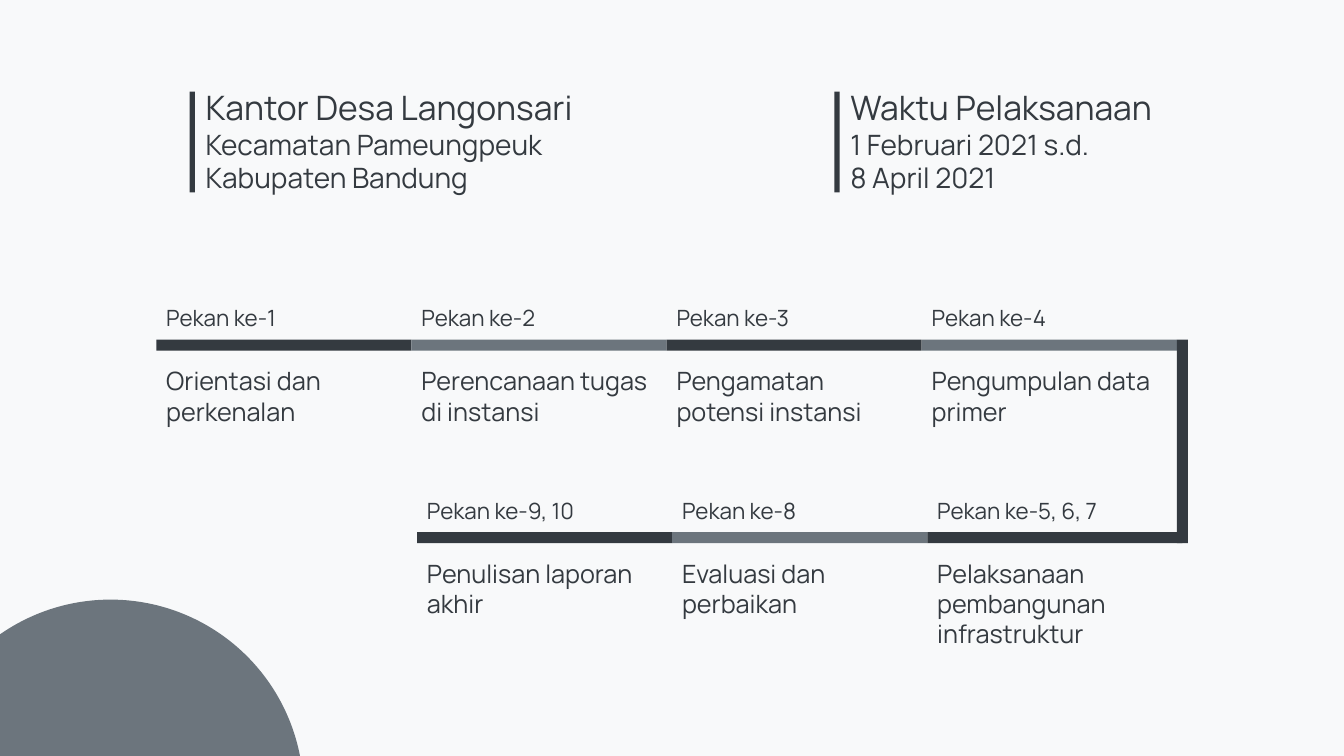
from pptx import Presentation
from pptx.dml.color import RGBColor
from pptx.enum.shapes import MSO_SHAPE
from pptx.enum.text import MSO_AUTO_SIZE
from pptx.util import Cm, Pt

DARK = RGBColor(0x34, 0x3A, 0x40)
GREY = RGBColor(0x6C, 0x75, 0x7D)
PALE = RGBColor(0xF8, 0xF9, 0xFA)

HEADING = {"name": "Manrope", "size": Pt(24)}
DETAIL = {"name": "Manrope", "size": Pt(20)}
TASK = {"name": "Manrope", "size": Pt(18)}
WEEK = {"name": "Manrope", "size": Pt(16)}

STEP = 6.43
BAR = 0.28
TOP_WEEKS = [
    ("Pekan ke-1", "Orientasi dan perkenalan"),
    ("Pekan ke-2", "Perencanaan tugas di instansi"),
    ("Pekan ke-3", "Pengamatan potensi instansi"),
    ("Pekan ke-4", "Pengumpulan data primer"),
]
BOTTOM_WEEKS = [
    ("Pekan ke-9, 10", "Penulisan laporan akhir"),
    ("Pekan ke-8", "Evaluasi dan perbaikan"),
    ("Pekan ke-5, 6, 7", "Pelaksanaan pembangunan infrastruktur"),
]


def add_block(slide, preset, box, colour):
    block = slide.shapes.add_shape(preset, *map(Cm, box))
    block.shadow.inherit = False
    block.fill.solid()
    block.fill.fore_color.rgb = colour
    block.line.fill.background()


def add_text(slide, box, lines):
    frame = slide.shapes.add_textbox(*map(Cm, box)).text_frame
    frame.word_wrap = True
    frame.auto_size = MSO_AUTO_SIZE.SHAPE_TO_FIT_TEXT
    for index, (wording, style) in enumerate(lines):
        paragraph = frame.add_paragraph() if index else frame.paragraphs[0]
        run = paragraph.add_run()
        run.text = wording
        run.font.color.rgb = DARK
        for attribute, value in style.items():
            setattr(run.font, attribute, value)


def add_heading(slide, box, heading, details):
    left, top, width, height = box
    add_block(slide, MSO_SHAPE.RECTANGLE, (left, top, 0.13, height), DARK)
    lines = [(heading, HEADING)] + [(detail, DETAIL) for detail in details]
    add_text(slide, (left + 0.15, top - 0.25, width - 0.15, 3), lines)


def add_week_row(slide, left, top, weeks):
    for index, (week, task) in enumerate(weeks):
        x = left + index * STEP
        colour = GREY if index % 2 else DARK
        add_block(slide, MSO_SHAPE.RECTANGLE, (x, top, STEP, BAR), colour)
        add_text(slide, (x, top + 0.53, STEP, 1.8), [(task, TASK)])
        add_text(slide, (x, top - 1.02, 4.93, 0.94), [(week, WEEK)])


def add_timeline(slide, box):
    left, top, width, height = box
    turn = left + len(TOP_WEEKS) * STEP
    bottom_top = top + height - BAR
    bottom_left = left + width - BAR / 2 - len(BOTTOM_WEEKS) * STEP
    add_week_row(slide, left, top, TOP_WEEKS)
    add_week_row(slide, bottom_left, bottom_top, BOTTOM_WEEKS)
    add_block(slide, MSO_SHAPE.RECTANGLE, (turn, top, BAR, height), DARK)


def main():
    deck = Presentation()
    deck.slide_width, deck.slide_height = Cm(33.87), Cm(19.05)
    slide = deck.slides.add_slide(deck.slide_layouts[6])
    slide.background.fill.solid()
    slide.background.fill.fore_color.rgb = PALE
    add_heading(slide, (4.78, 2.31, 11.05, 2.54), "Kantor Desa Langonsari",
                ["Kecamatan Pameungpeuk", "Kabupaten Bandung"])
    add_heading(slide, (21.03, 2.31, 9.83, 2.54), "Waktu Pelaksanaan",
                ["1 Februari 2021 s.d.", "8 April 2021"])
    add_timeline(slide, (3.94, 8.56, 26, 5.13))
    add_block(slide, MSO_SHAPE.OVAL, (-2.08, 15.11, 9.73, 9.73), GREY)
    deck.save("out.pptx")


if __name__ == "__main__":
    main()
